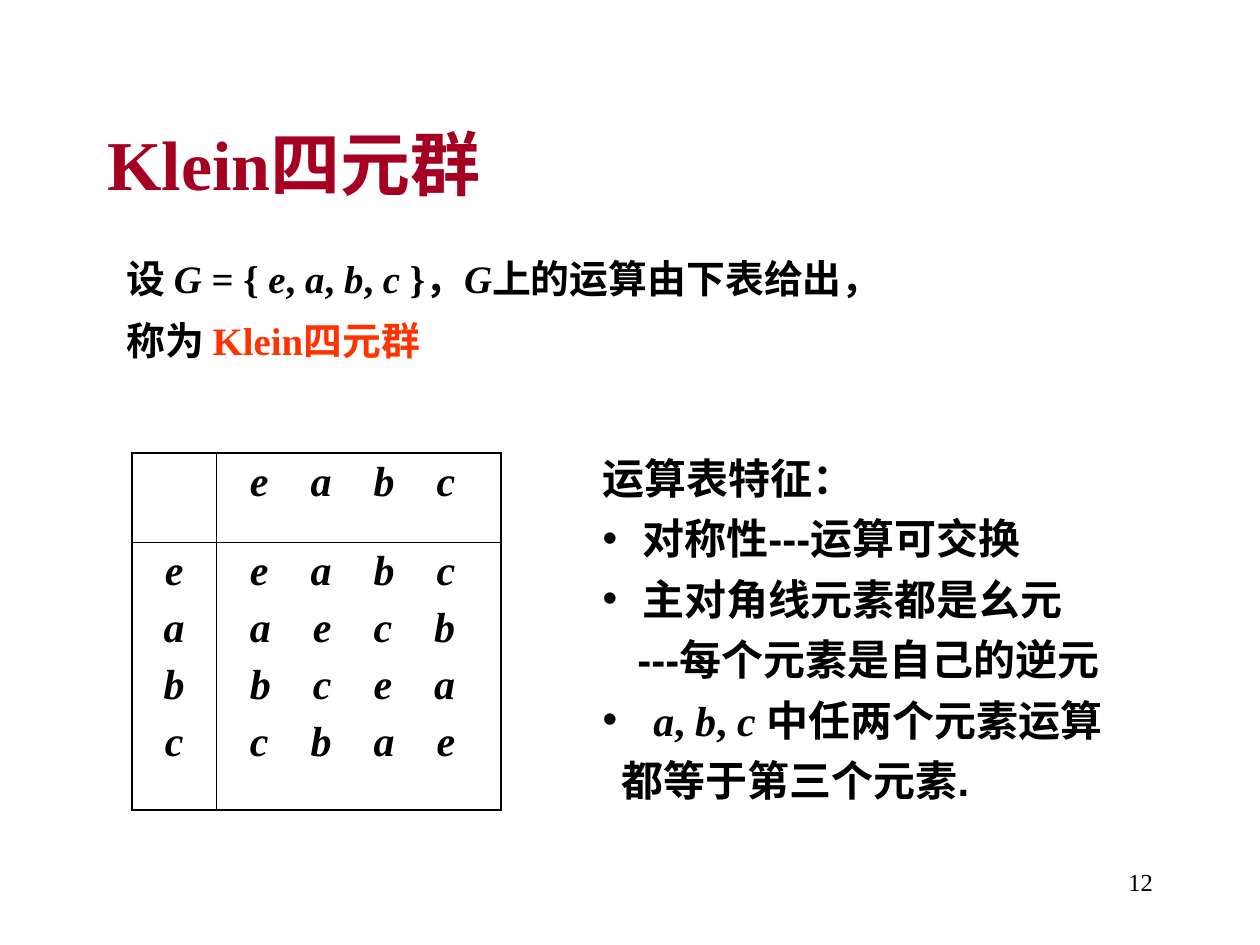
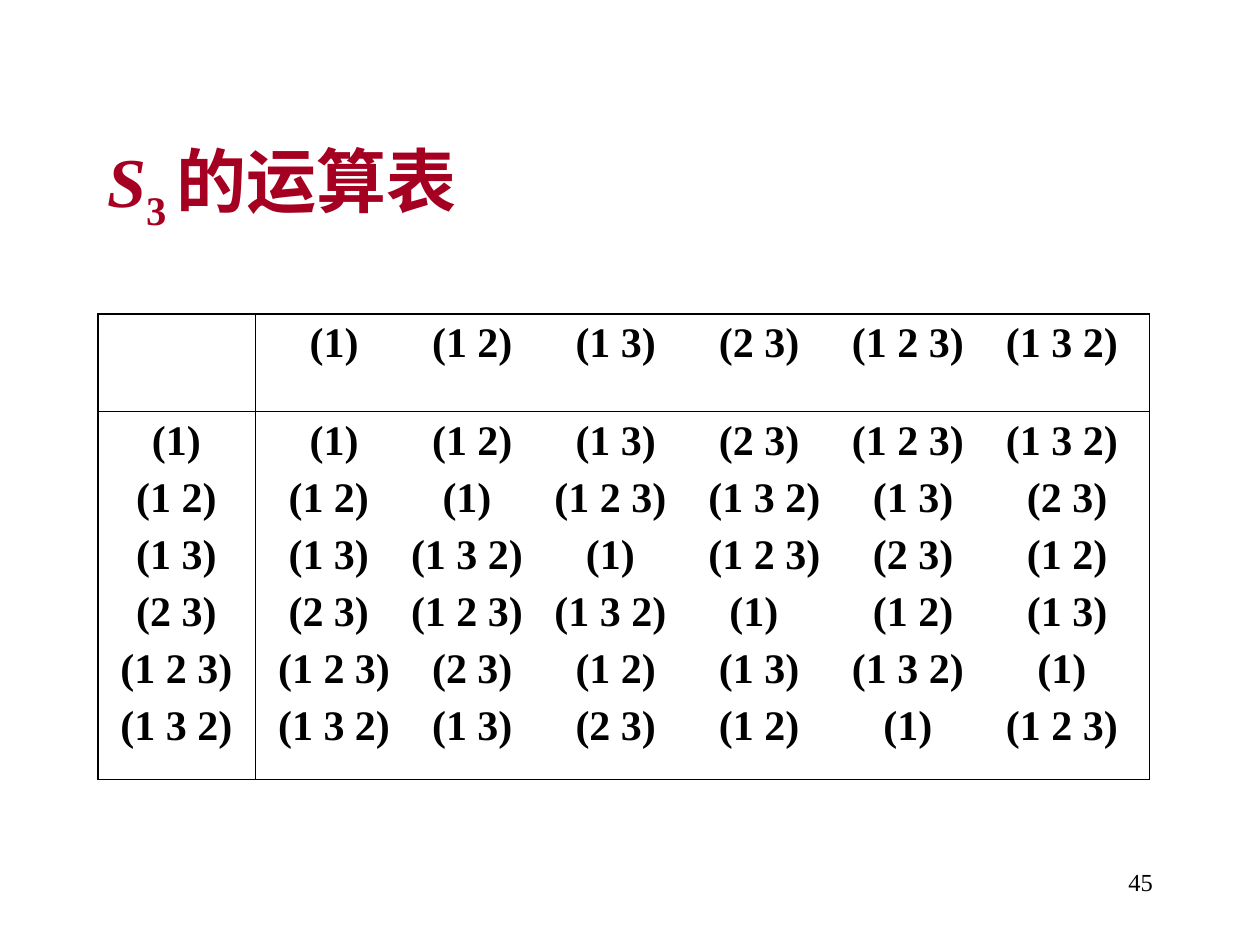
"""Build two slides on the Klein four-group and the table of S3."""
from lxml import etree
from pptx import Presentation
from pptx.dml import color
from pptx.enum import text
from pptx.oxml import ns
from pptx.util import Cm, Pt

SERIF, SANS = "Times New Roman", "Arial"
BLACK, WINE, RED = "000000", "A50021", "FF3300"
OUTER, INNER = 1.08, 0.45
UNIT = 6
LEFT, CENTER, RIGHT = text.PP_ALIGN.LEFT, text.PP_ALIGN.CENTER, text.PP_ALIGN.RIGHT


def rgb(code):
    return color.RGBColor.from_string(code)


def node(parent, tag, **attrs):
    item = etree.SubElement(parent, ns.qn("a:" + tag))
    for key, value in attrs.items():
        item.set(key, str(value))
    return item


def place(shape, box):
    shape.left, shape.top, shape.width, shape.height = (Cm(n) for n in box)


def write(frame, words, size, name=SERIF, tint=BLACK, bold=True, align=LEFT,
          before=0, line=1, bullet=False, indent=0):
    """Add a paragraph in which asterisks switch italics on and off."""
    para = frame.paragraphs[0]
    if para.runs:
        para = frame.add_paragraph()
    para.alignment, para.line_spacing = align, line
    para.space_before = Pt(before)
    props = para._p.get_or_add_pPr()
    props.set("marL", str(Cm(indent)))
    props.set("indent", str(-Cm(indent) if bullet else 0))
    if bullet:
        node(props, "buFont", typeface=SANS)
        node(props, "buChar", char="•")
    else:
        node(props, "buNone")
    font = para.font
    font.name, font.size, font.bold = name, Pt(size), bold
    font.color.rgb = rgb(tint)
    for i, part in enumerate(words.split("*")):
        if part:
            run = para.add_run()
            run.text = part
            if i % 2:
                run.font.italic = True
    return para


def head(slide, words, top):
    title = slide.shapes.title
    place(title, (1.91, top, 21.6, 3.18))
    title.text_frame.auto_size = text.MSO_AUTO_SIZE.NONE
    return write(title.text_frame, words, 40, tint=WINE)


def label(slide, box):
    shape = slide.shapes.add_textbox(0, 0, 0, 0)
    place(shape, box)
    shape.text_frame.word_wrap = True
    return shape.text_frame


def number(slide, value):
    write(label(slide, (18.21, 17.35, 5.28, 1.27)), value, 14, bold=False, align=RIGHT)


def edge(cell, row, col):
    """Rule a cell of a two by two table, heavier on the outside."""
    props = cell._tc.get_or_add_tcPr()
    outer = {"lnL": col == 0, "lnR": col == 1, "lnT": row == 0, "lnB": row == 1}
    for tag, out in outer.items():
        line = node(props, tag, w=Pt(OUTER if out else INNER))
        node(node(line, "solidFill"), "srgbClr", val=BLACK)
    cell.fill.background()


def spread(frame, items, gaps, mark):
    """Write items in a row; gaps counts units before each of them."""
    lead, *rest = (int(n) * UNIT for n in gaps)
    para = write(frame, mark + items[0] + mark, 24, before=6, indent=Pt(lead).cm)
    for item, gap in zip(items[1:], rest):
        space, run = para.add_run(), para.add_run()
        space.text, run.text = " ", item
        space._r.get_or_add_rPr().set("spc", str((gap - UNIT) * 100))
        if mark:
            space.font.italic = run.font.italic = True


def cayley(slide, box, cols, rows, names, grid, gaps, mark=""):
    """Draw an operation table; grid holds the index of each product."""
    table = slide.shapes.add_table(2, 2, *(Cm(n) for n in box)).table
    table.first_row = table.horz_banding = False
    for i in range(2):
        table.columns[i].width, table.rows[i].height = Cm(cols[i]), Cm(rows[i])
        for j in range(2):
            edge(table.cell(i, j), i, j)
    spread(table.cell(0, 1).text_frame, names, gaps[0], mark)
    for name, order, gap in zip(names, grid, gaps):
        write(table.cell(1, 0).text_frame, mark + name + mark, 24, align=CENTER, before=6)
        items = [names[int(n)] for n in order]
        spread(table.cell(1, 1).text_frame, items, gap, mark)


def klein(deck):
    slide = deck.slides.add_slide(deck.slide_layouts[1])
    number(slide, "12")
    head(slide, "Klein四元群", 1.69)
    body = slide.placeholders[1]
    place(body, (2.29, 4.92, 21.62, 2.59))
    frame = body.text_frame
    frame.auto_size = text.MSO_AUTO_SIZE.NONE
    intro = dict(size=22.2, before=6, line=1.1)
    write(frame, "设 *G *= { *e*, *a*, *b*, *c *}，*G*上的运算由下表给出，", **intro)
    term = write(frame, "称为 ", **intro).add_run()
    term.text = "Klein四元群"
    term.font.color.rgb = rgb(RED)
    cayley(slide, (2.66, 9.13, 7.44, 7.2), (1.7, 5.74), (1.8, 5.4), "eabc",
           ("0123", "1032", "2301", "3210"), ["2444"] * 4, "*")
    notes = label(slide, (11.9, 8.79, 11.2, 9.8))
    for words, name, bullet, indent in (
            ("运算表特征：", SANS, False, 0),
            ("对称性---运算可交换", SANS, True, 0.8),
            ("主对角线元素都是幺元", SANS, True, 0.8),
            ("---每个元素是自己的逆元", SANS, False, 0.7),
            ("*a*, *b*, *c *中任两个元素运算", SERIF, True, 1.02),
            ("都等于第三个元素.", SANS, False, 0.38)):
        write(notes, words, 24, name, line=1.2, bullet=bullet, indent=indent)


def cubic(deck):
    slide = deck.slides.add_slide(deck.slide_layouts[5])
    number(slide, "45")
    title = head(slide, "*S*3 ", 2.15)
    title.runs[1]._r.get_or_add_rPr().set("baseline", "-25000")
    title.add_run().text = "的运算表"
    names = ("(1)", "(1 2)", "(1 3)", "(2 3)", "(1 2 3)", "(1 3 2)")
    grid = ("012345", "104523", "250431", "345012", "431250", "523104")
    gaps = ("476654", "276457", "246757", "243697", "146657", "146687")
    cayley(slide, (1.97, 6.33, 21.21, 9.38), (3.17, 18.03), (1.97, 7.41),
           names, grid, gaps)


def main():
    deck = Presentation()
    deck.slide_width, deck.slide_height = Cm(25.4), Cm(19.05)
    klein(deck)
    cubic(deck)
    deck.save("out.pptx")


if __name__ == "__main__":
    main()
